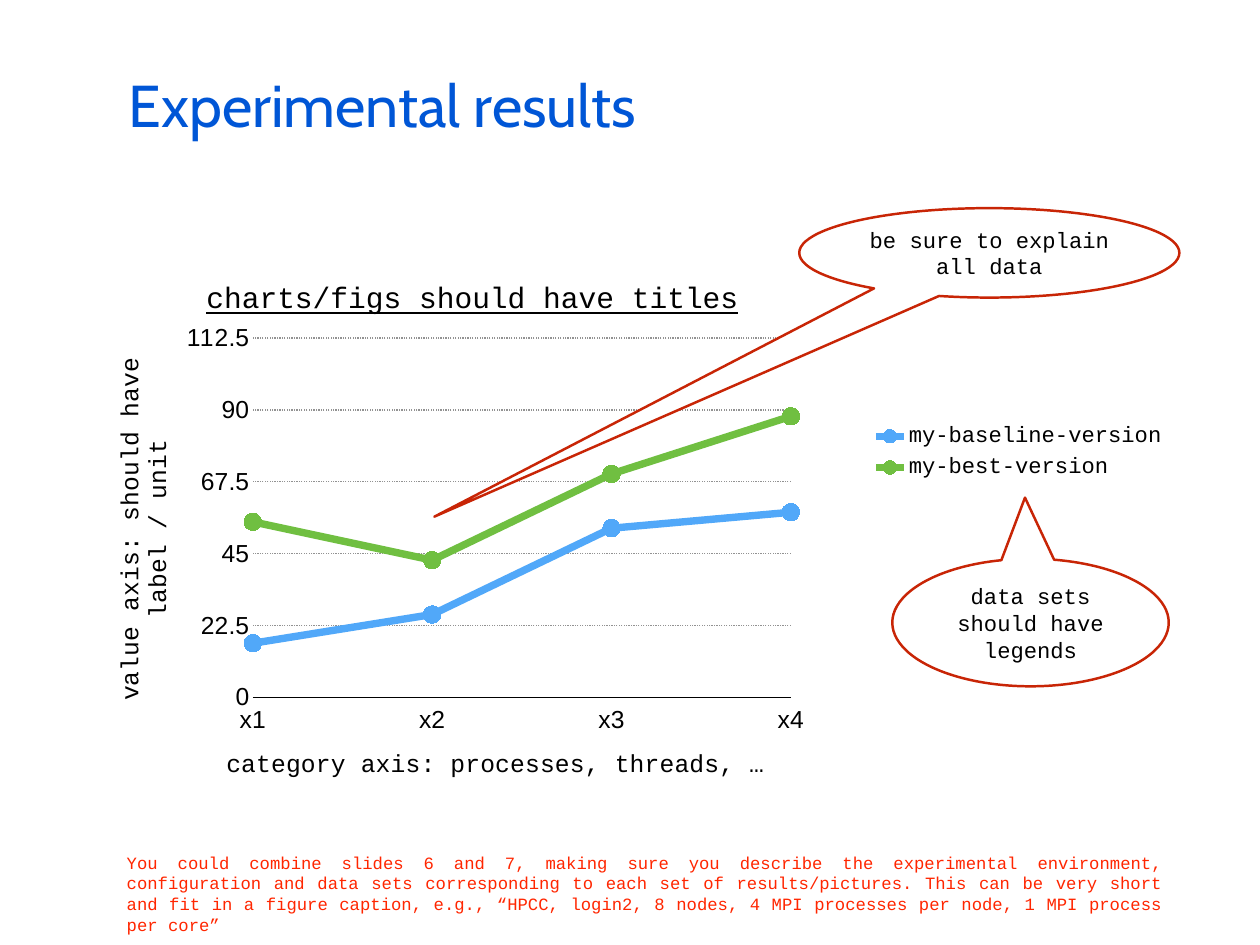
import dataclasses

import lxml.etree
import pptx
import pptx.chart.axis
import pptx.chart.chart
import pptx.chart.data
import pptx.dml.color
import pptx.enum.chart
import pptx.enum.dml
import pptx.enum.shapes
import pptx.enum.text
import pptx.oxml.ns
import pptx.slide
import pptx.text.text
import pptx.util

EMU_PER_PX = 9144  # 100 px to the inch


@dataclasses.dataclass(frozen=True)
class Theme:
    heading_font: str = "Cabin"
    mono_font: str = "Courier New"
    axis_font: str = "Arial"
    heading_color: str = "0056D6"
    note_color: str = "FF2600"
    callout_line: str = "C82506"
    text_color: str = "000000"
    background: str = "FFFFFF"
    grid_color: str = "929292"
    heading_size: int = 48
    chart_title_size: int = 24
    axis_size: int = 20
    label_size: int = 18
    note_size: int = 14


@dataclasses.dataclass(frozen=True)
class Box:
    left: int
    top: int
    width: int
    height: int

    def emu(self) -> tuple[int, ...]:
        return tuple(px(n) for n in dataclasses.astuple(self))


@dataclasses.dataclass(frozen=True)
class Callout:
    text: str
    box: Box
    tip: tuple[float, float]


@dataclasses.dataclass(frozen=True)
class Version:
    name: str
    values: tuple[int, ...]
    color: str


THEME = Theme()
CATEGORIES = ("x1", "x2", "x3", "x4")
VERSIONS = (
    Version("my-baseline-version", (17, 26, 53, 58), "51A8F9"),
    Version("my-best-version", (55, 43, 70, 88), "70BF41"),
)
CALLOUTS = (
    Callout("be sure to explain all data", Box(902, 235, 429, 101), (-1.46, 2.95)),
    Callout("data sets should have legends", Box(1007, 631, 312, 144), (-0.02, -0.98)),
)
NOTE = (
    "You could combine slides 6 and 7, making sure you describe the experimental "
    "environment, configuration and data sets corresponding to each set of "
    "results/pictures. This can be very short and fit in a figure caption, e.g., "
    "“HPCC, login2, 8 nodes, 4 MPI processes per node, 1 MPI process per core”"
)


def px(length: int) -> pptx.util.Emu:
    return pptx.util.Emu(length * EMU_PER_PX)


def rgb(color: str) -> pptx.dml.color.RGBColor:
    return pptx.dml.color.RGBColor.from_string(color)


def style_font(font: pptx.text.text.Font, name: str, size: int, color: str) -> None:
    font.name = name
    font.size = pptx.util.Pt(size)
    font.bold = False
    font.color.rgb = rgb(color)


def write_text(frame: pptx.text.text.TextFrame, text: str, font: str, size: int,
               color: str, align: pptx.enum.text.PP_ALIGN) -> None:
    frame.text = text
    frame.word_wrap = True
    frame.auto_size = pptx.enum.text.MSO_AUTO_SIZE.NONE
    frame.vertical_anchor = pptx.enum.text.MSO_ANCHOR.MIDDLE
    frame.margin_left = frame.margin_right = px(6)
    frame.margin_top = frame.margin_bottom = px(6)
    frame.paragraphs[0].alignment = align
    style_font(frame.paragraphs[0].font, font, size, color)


def place(parent: lxml.etree.ElementBase, index: int, inner: bool = False,
          **fractions: float) -> None:
    """Give a chart part a manual layout in fractions of the chart."""
    qn = pptx.oxml.ns.qn
    for old in parent.findall(qn("c:layout")):
        parent.remove(old)
    layout = parent.makeelement(qn("c:layout"))
    manual = lxml.etree.SubElement(layout, qn("c:manualLayout"))
    settings = {"xMode": "edge", "yMode": "edge", **fractions}
    if inner:
        settings = {"layoutTarget": "inner", **settings}
    for key, value in settings.items():
        lxml.etree.SubElement(manual, qn(f"c:{key}")).set("val", str(value))
    parent.insert(index, layout)


def start_on_axis(values: pptx.chart.axis.ValueAxis) -> None:
    """Let the value axis cross at the first category instead of before it."""
    qn = pptx.oxml.ns.qn
    crossing = values._element.find(qn("c:crossBetween"))
    if crossing is None:
        crossing = values._element.makeelement(qn("c:crossBetween"))
        values._element.find(qn("c:crosses")).addnext(crossing)
    crossing.set("val", "midCat")


def style_axis(axis: pptx.chart.axis.CategoryAxis | pptx.chart.axis.ValueAxis,
               title: str) -> None:
    axis.major_tick_mark = axis.minor_tick_mark = pptx.enum.chart.XL_TICK_MARK.NONE
    style_font(axis.tick_labels.font, THEME.axis_font, THEME.axis_size, THEME.text_color)
    frame = axis.axis_title.text_frame
    frame.text = title
    style_font(frame.paragraphs[0].font, THEME.mono_font, THEME.axis_size, THEME.text_color)


def style_chart(chart: pptx.chart.chart.Chart) -> None:
    # Title
    chart.has_title = True
    heading = chart.chart_title.text_frame
    heading.text = "charts/figs should have titles"
    heading_font = heading.paragraphs[0].font
    style_font(heading_font, THEME.mono_font, THEME.chart_title_size, THEME.text_color)
    heading_font.underline = True
    place(chart.chart_title._element, 1, x=0.08, y=0.01)

    # Axes
    categories, values = chart.category_axis, chart.value_axis
    style_axis(categories, "category axis: processes, threads, …")
    categories.tick_label_position = pptx.enum.chart.XL_TICK_LABEL_POSITION.LOW
    categories.format.line.color.rgb = rgb(THEME.text_color)
    categories.format.line.width = pptx.util.Pt(1)
    style_axis(values, "value axis: should have label / unit")
    values.minimum_scale, values.maximum_scale, values.major_unit = 0, 112.5, 22.5
    values.format.line.fill.background()
    grid = values.major_gridlines.format.line
    grid.color.rgb = rgb(THEME.grid_color)
    grid.width = pptx.util.Pt(1)
    grid.dash_style = pptx.enum.dml.MSO_LINE.ROUND_DOT
    start_on_axis(values)

    # Legend and plot area
    chart.has_legend = True
    legend = chart.legend
    legend.position = pptx.enum.chart.XL_LEGEND_POSITION.RIGHT
    legend.include_in_layout = True
    style_font(legend.font, THEME.mono_font, THEME.label_size, THEME.text_color)
    place(legend._element, 1, x=0.67, y=0.28, w=0.27, h=0.13)
    plot_area = chart._chartSpace.chart.plotArea
    place(plot_area, 0, inner=True, x=0.126, y=0.13, w=0.477, h=0.679)

    # Lines and markers
    chart.plots[0].vary_by_categories = False
    for series, version in zip(chart.plots[0].series, VERSIONS):
        series.smooth = False
        series.format.line.color.rgb = rgb(version.color)
        series.format.line.width = pptx.util.Pt(6)
        series.marker.style = pptx.enum.chart.XL_MARKER_STYLE.CIRCLE
        series.marker.size = 14
        series.marker.format.fill.solid()
        series.marker.format.fill.fore_color.rgb = rgb(version.color)
        series.marker.format.line.color.rgb = rgb(version.color)


def add_results_chart(slide: pptx.slide.Slide, box: Box) -> None:
    results = pptx.chart.data.CategoryChartData()
    results.categories = CATEGORIES
    for version in VERSIONS:
        results.add_series(version.name, version.values)
    kind = pptx.enum.chart.XL_CHART_TYPE.LINE_MARKERS
    style_chart(slide.shapes.add_chart(kind, *box.emu(), results).chart)


def add_callout(slide: pptx.slide.Slide, callout: Callout) -> None:
    kind = pptx.enum.shapes.MSO_SHAPE.OVAL_CALLOUT
    bubble = slide.shapes.add_shape(kind, *callout.box.emu())
    bubble.adjustments[0], bubble.adjustments[1] = callout.tip
    bubble.shadow.inherit = False
    bubble.fill.solid()
    bubble.fill.fore_color.rgb = rgb(THEME.background)
    bubble.line.color.rgb = rgb(THEME.callout_line)
    bubble.line.width = pptx.util.Pt(2)
    write_text(bubble.text_frame, callout.text, THEME.mono_font, THEME.label_size,
               THEME.text_color, pptx.enum.text.PP_ALIGN.CENTER)


def main() -> None:
    deck = pptx.Presentation()
    deck.slide_width, deck.slide_height = px(1422), px(1067)
    slide = deck.slides.add_slide(deck.slide_layouts.get_by_name("Title Only"))

    # Heading
    heading = slide.shapes.title
    heading.left, heading.top, heading.width, heading.height = Box(139, 28, 1144, 178).emu()
    write_text(heading.text_frame, "Experimental results", THEME.heading_font,
               THEME.heading_size, THEME.heading_color, pptx.enum.text.PP_ALIGN.LEFT)

    # Advice below the chart
    note = slide.shapes.add_textbox(*Box(137, 956, 1182, 105).emu())
    write_text(note.text_frame, NOTE, THEME.mono_font, THEME.note_size,
               THEME.note_color, pptx.enum.text.PP_ALIGN.JUSTIFY)

    # Chart with its callouts
    add_results_chart(slide, Box(125, 304, 1273, 598))
    for callout in CALLOUTS:
        add_callout(slide, callout)

    deck.save("out.pptx")


if __name__ == "__main__":
    main()
